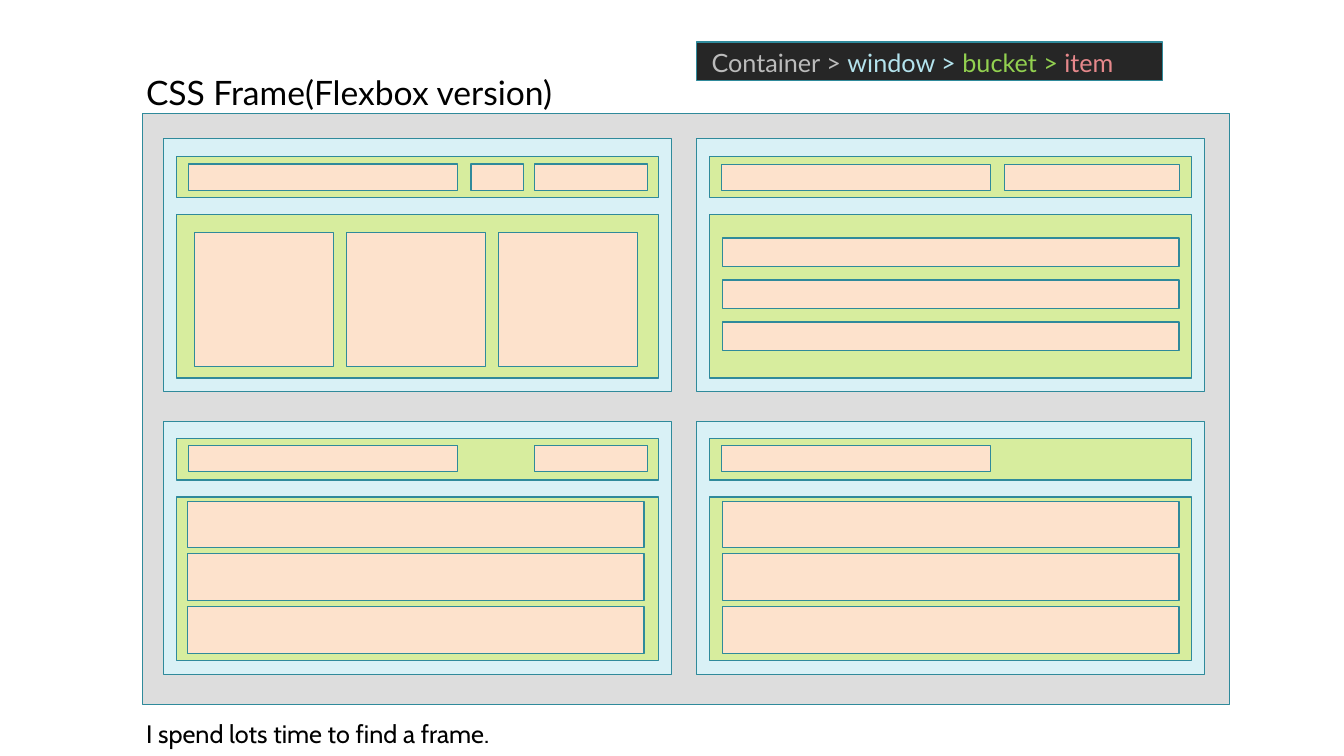
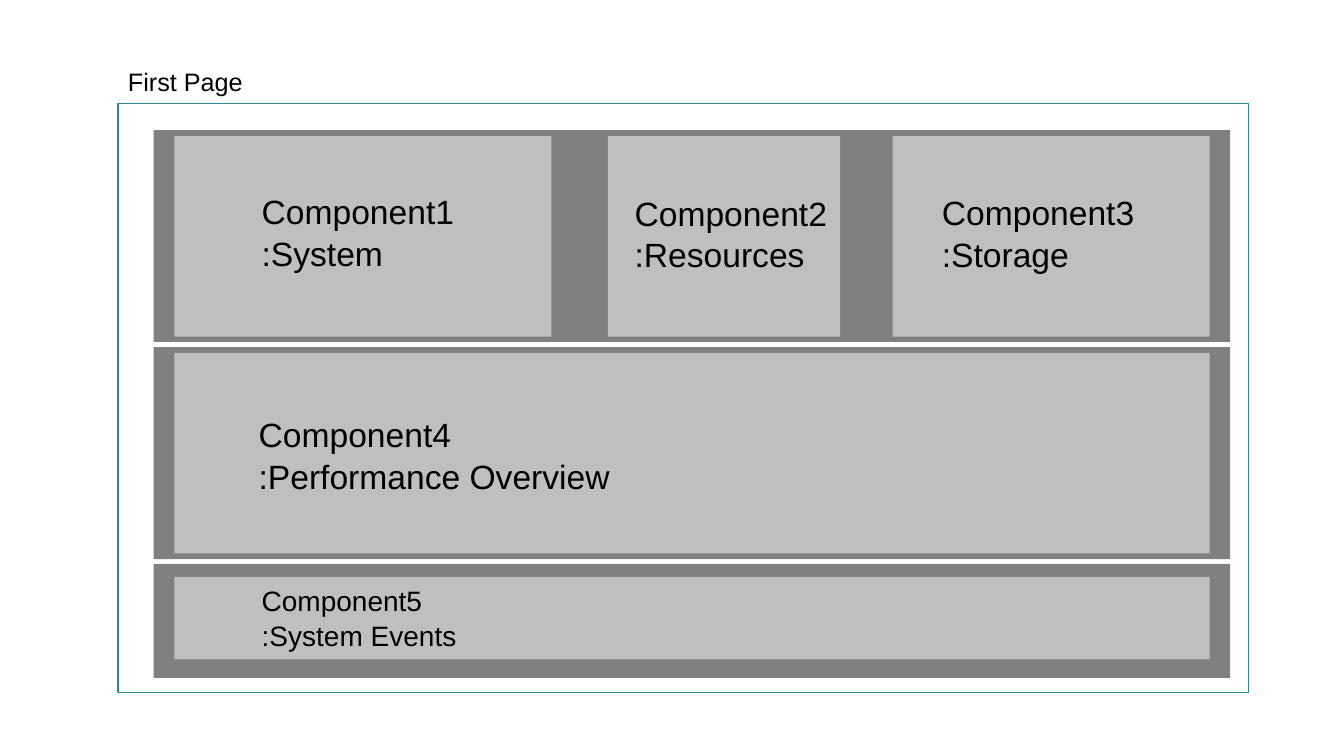
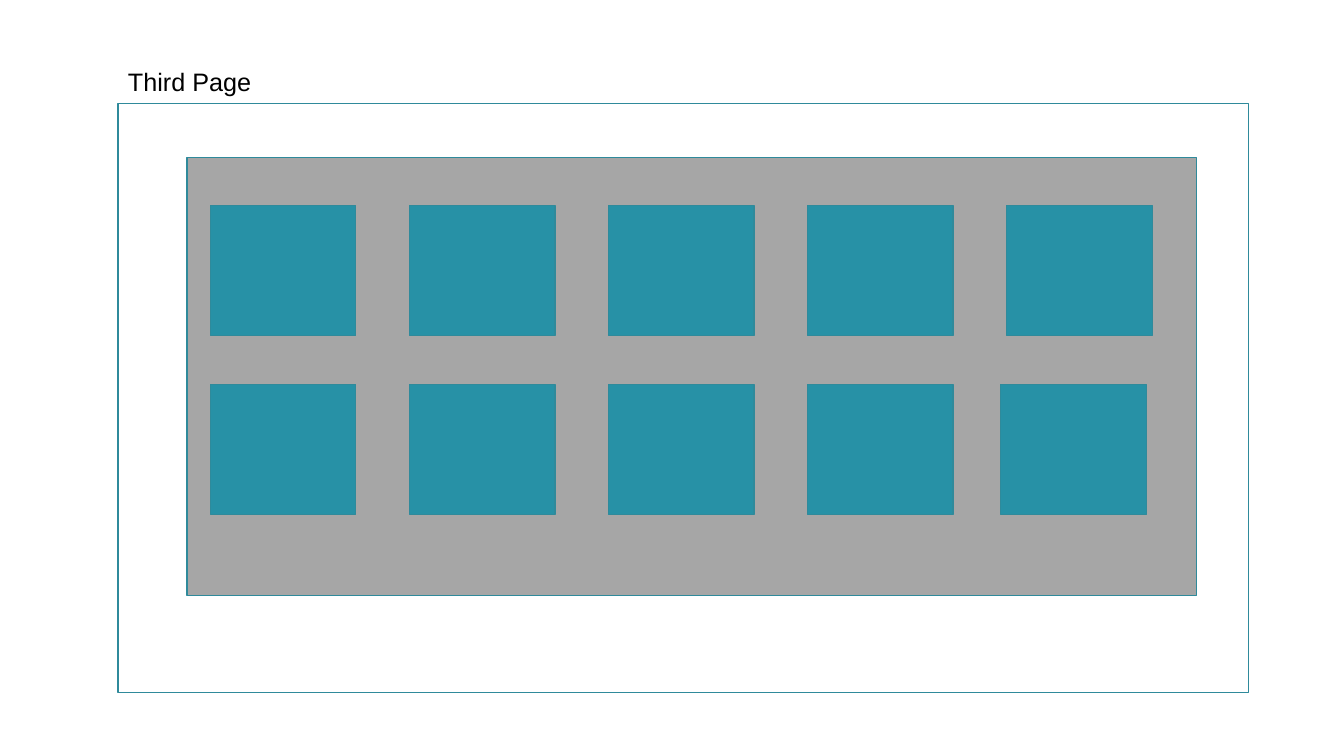
from pptx import Presentation
from pptx.dml.color import RGBColor
from pptx.enum.shapes import MSO_SHAPE
from pptx.util import Pt

TEAL = "2F8A9B"
WINDOW, BUCKET, ITEM = "D9F1F6", "D7ED9E", "FDE2CC"
BAND, PART, TILE = "808080", "BFBFBF", "2791A6"
BLACK = "000000"


def color(code):
    return RGBColor.from_string(code)


def box(slide, x, y, w, h, fill=None, line=TEAL):
    """Add a plain rectangle; None leaves out its fill or line."""
    rect = slide.shapes.add_shape(
        MSO_SHAPE.RECTANGLE, Pt(x), Pt(y), Pt(w), Pt(h))
    rect.shadow.inherit = False
    if fill:
        rect.fill.solid()
        rect.fill.fore_color.rgb = color(fill)
    else:
        rect.fill.background()
    if line:
        rect.line.color.rgb = color(line)
        rect.line.width = Pt(0.85)
    else:
        rect.line.fill.background()


def label(slide, x, y, w, h, lines, size, font="Arial", space=None):
    """Add text; each line is a list of (words, colour) runs."""
    frame = slide.shapes.add_textbox(Pt(x), Pt(y), Pt(w), Pt(h)).text_frame
    frame.word_wrap = True
    for i, parts in enumerate(lines):
        para = frame.paragraphs[0] if i == 0 else frame.add_paragraph()
        if space:
            para.line_spacing = space
        for words, tint in parts:
            run = para.add_run()
            run.text = words
            run.font.size = Pt(size)
            run.font.name = font
            run.font.color.rgb = color(tint)


def window(slide, x, y, heads, top, body):
    """Draw a window with a head bucket and a body bucket of three items."""
    box(slide, x, y, 363, 180.7, WINDOW)
    box(slide, x + 9.4, y + 12.4, 344.2, 29.5, BUCKET)
    box(slide, x + 9.4, y + 54, 344.2, 116.8, BUCKET)
    for left, width in heads:
        box(slide, x + left, y + top, width, 18.7, ITEM)
    left, down, width, height, dx, dy = body
    for i in range(3):
        box(slide, x + left + i * dx, y + down + i * dy, width, height, ITEM)


def page(slide, title):
    """Draw the page outline and its title."""
    box(slide, 84.3, 74, 807.8, 420.6)
    label(slide, 84.3, 44, 132, 29, [[(title, BLACK)]], 18)


def flex(slide):
    box(slide, 101.5, 81.2, 777, 421.8, "DDDDDD")
    label(slide, 97.2, 47.5, 461.5, 36,
          [[("CSS Frame(Flexbox version)", BLACK)]], 24, "Lato")
    label(slide, 97.2, 509.8, 942.5, 29,
          [[("I spend lots time to find a frame.", BLACK)]], 18, "Cabin")

    left, right, upper, lower = 116.8, 497.6, 99.2, 301
    name = (18, 192.2)
    tail = (265, 80.6)
    cards = (22.1, 66.8, 99.4, 95.8, 108.6, 0)
    lines = (18.4, 70.8, 326.2, 20.2, 0, 30)
    bars = (17, 57, 326.2, 33.4, 0, 37.6)
    window(slide, left, upper, [name, (219.6, 37.4), tail], 18, cards)
    window(slide, right, upper, [name, (220.2, 124.6)], 18.4, lines)
    window(slide, left, lower, [name, tail], 17.2, bars)
    window(slide, right, lower, [name], 17.2, (18.4,) + bars[1:])

    box(slide, 497.6, 30, 332.8, 27.4, "262626")
    label(slide, 501.2, 30.2, 350, 29, [[
        ("Container > ", "BBBBBB"), ("window > ", "B3E3ED"),
        ("bucket > ", "92D050"), ("item", "E6888B")]], 18, "Lato")


def first(slide):
    for y, h in ((92.9, 151.4), (248, 151.4), (402.8, 81.4)):
        box(slide, 109.7, y, 769, h, BAND, None)
    page(slide, "First Page")
    parts = (
        (124.6, 97.2, 269.3, 143.3), (434.2, 97.2, 165.9, 143.3),
        (637.6, 97.2, 226.4, 143.3), (124.6, 252, 739.4, 143.3),
        (124.6, 412, 739.4, 59))
    texts = (
        (179.8, 131.6, 170, 24, ":System"),
        (446.2, 132.8, 170, 24, ":Resources"),
        (665.7, 132.4, 170, 24, ":Storage"),
        (177.7, 290.8, 316, 24, ":Performance Overview"),
        (179.8, 412.6, 170, 20, ":System Events"))
    for part in parts:
        box(slide, *part, PART, None)
    for i, (x, y, w, size, use) in enumerate(texts, 1):
        label(slide, x, y, w, size * 2.73,
              [[(f"Component{i}", BLACK)], [(use, BLACK)]], size, space=1.04)


def third(slide):
    box(slide, 133.6, 112.4, 721, 313.2, "A6A6A6")
    page(slide, "Third Page")
    for y, last in ((146.8, 719), (274.5, 714.8)):
        for x in [150.2 + 142.2 * i for i in range(4)] + [last]:
            box(slide, x, y, 104, 93, TILE)


def main():
    deck = Presentation()
    deck.slide_width, deck.slide_height = Pt(960), Pt(540)
    for draw in (flex, first, third):
        draw(deck.slides.add_slide(deck.slide_layouts[6]))
    deck.save("out.pptx")


if __name__ == "__main__":
    main()
